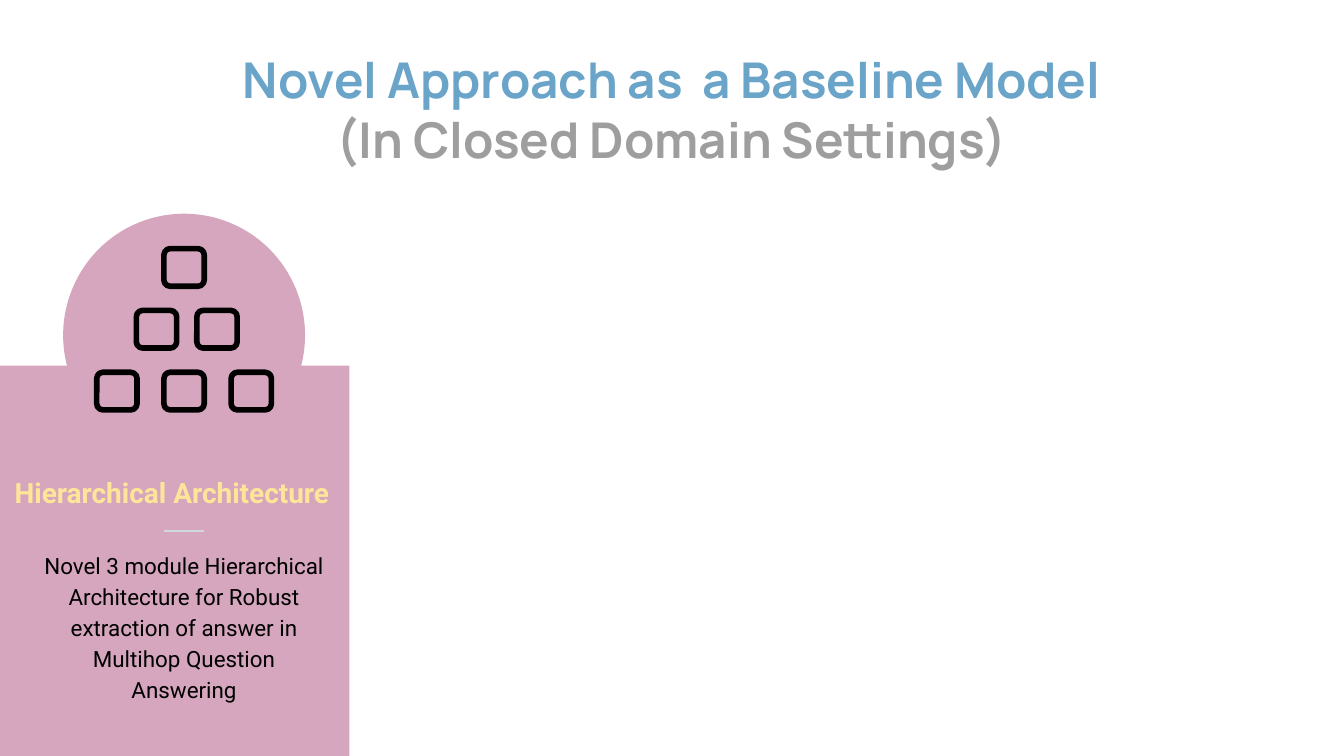
import pptx
import pptx.util
import pptx.dml.color
import pptx.enum.shapes
import pptx.enum.text
import pptx.oxml.ns
from lxml import etree

Inches, Pt = pptx.util.Inches, pptx.util.Pt
SHAPE = pptx.enum.shapes.MSO_SHAPE
WIDTH = 10
HEIGHT = WIDTH * 9 / 16
COLORS = {"pink": "D5A6BD", "white": "FFFFFF", "blue": "6AA4C8", "gray": "9E9E9E",
          "cream": "FFE599", "black": "000000", "rule": "CFD8DC"}


def rgb(name):
    return pptx.dml.color.RGBColor.from_string(COLORS[name])


def add_form(slide, kind, box, fill, edge=None):
    form = slide.shapes.add_shape(kind, *map(Inches, box))
    form.shadow.inherit = False
    form.fill.solid()
    form.fill.fore_color.rgb = rgb(fill)
    if edge:
        form.line.color.rgb = rgb("black")
        form.line.width = Pt(edge)
    else:
        form.line.fill.background()


def add_text(slide, box, lines, font, size, bold, space, middle=False):
    """Centred text; lines holds one (text, color) pair per paragraph."""
    frame = slide.shapes.add_textbox(*map(Inches, box)).text_frame
    frame.word_wrap = True
    frame.margin_left = frame.margin_right = Inches(0.1)
    frame.margin_top = frame.margin_bottom = Inches(0.1)
    anchor = pptx.enum.text.MSO_ANCHOR
    frame.vertical_anchor = anchor.MIDDLE if middle else anchor.TOP
    for i, (text, color) in enumerate(lines):
        para = frame.add_paragraph() if i else frame.paragraphs[0]
        para.alignment = pptx.enum.text.PP_ALIGN.CENTER
        para.line_spacing = space
        run = para.add_run()
        run.text = text
        run.font.name, run.font.size, run.font.bold = font, Pt(size), bold
        run.font.color.rgb = rgb(color)


def add_title(slide, box):
    lines = [("Novel Approach as  a Baseline Model", "blue"),
             ("(In Closed Domain Settings)", "gray")]
    add_text(slide, box, lines, "Manrope", 26.4, True, 1.0, middle=True)


def add_icon(slide, box):
    """Disc with a pyramid of rounded squares: rows of one, two and three."""
    left, top, width, height = box
    add_form(slide, SHAPE.OVAL, box, "pink")
    wide, high = 0.3, 0.28
    rows = [(0.5, 0), (0.45, 0.02), (0.5, 0)]  # pitch and shift to the right
    for row, (pitch, shift) in enumerate(rows):
        start = left + (width - wide - row * pitch) / 2 + shift
        for col in range(row + 1):
            place = (start + col * pitch, top + 0.26 + row * 0.46, wide, high)
            add_form(slide, SHAPE.ROUNDED_RECTANGLE, place, "pink", 3)


def add_card(slide, box):
    """Heading, short rule and description."""
    left, top, width, height = box
    add_text(slide, (left, top, width, 0.48),
             [("Hierarchical Architecture", "cream")], "Roboto", 15, True, 1.15)
    y = Inches(top + 0.55)
    rule = slide.shapes.add_connector(pptx.enum.shapes.MSO_CONNECTOR.STRAIGHT,
                                      Inches(left + 1.22), y, Inches(left + 1.52), y)
    rule.line.color.rgb = rgb("rule")
    rule.line.width = Pt(0.75)
    etree.SubElement(rule._element.spPr, pptx.oxml.ns.qn("a:effectLst"))
    body = ("Novel 3 module Hierarchical Architecture for Robust extraction "
            "of answer in Multihop Question Answering")
    add_text(slide, (left + 0.2, top + 0.58, width - 0.22, height - 0.58),
             [(body, "black")], "Roboto", 12, False, 1.15)


def main():
    deck = pptx.Presentation()
    deck.slide_width, deck.slide_height = Inches(WIDTH), Inches(HEIGHT)
    slide = deck.slides.add_slide(deck.slide_layouts[6])
    slide.background.fill.solid()
    slide.background.fill.fore_color.rgb = rgb("pink")

    # White areas leave the pink card showing at lower left
    add_form(slide, SHAPE.RECTANGLE, (0, 0, WIDTH, 2.72), "white")
    add_form(slide, SHAPE.RECTANGLE, (2.6, 1.48, WIDTH - 2.6, HEIGHT - 1.48), "white")

    add_title(slide, (0.34, 0.41, 9.32, 0.8))
    add_card(slide, (0, 3.4, 2.56, 1.84))
    add_icon(slide, (0.47, 1.59, 1.8, 1.81))
    deck.save("out.pptx")


if __name__ == "__main__":
    main()
